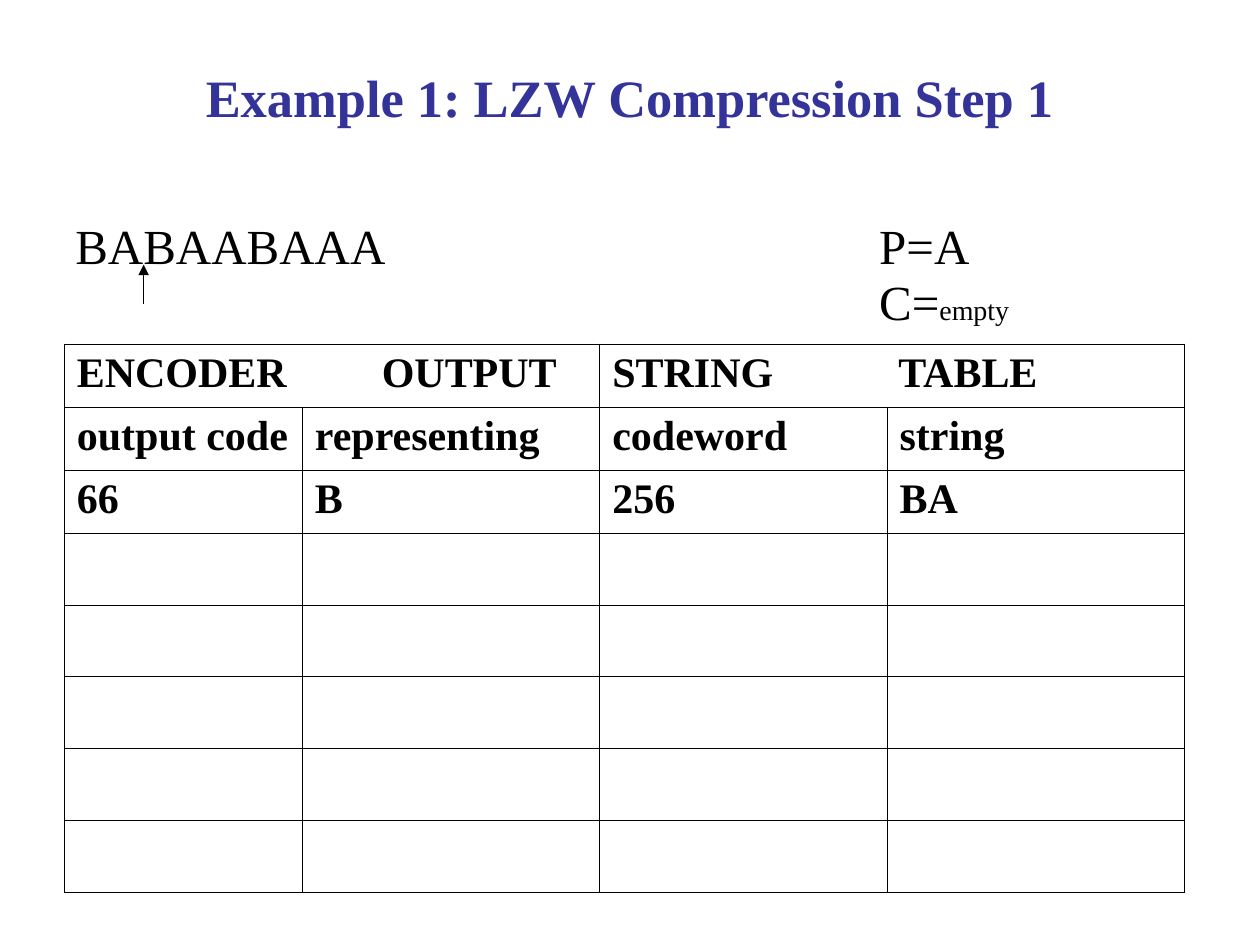
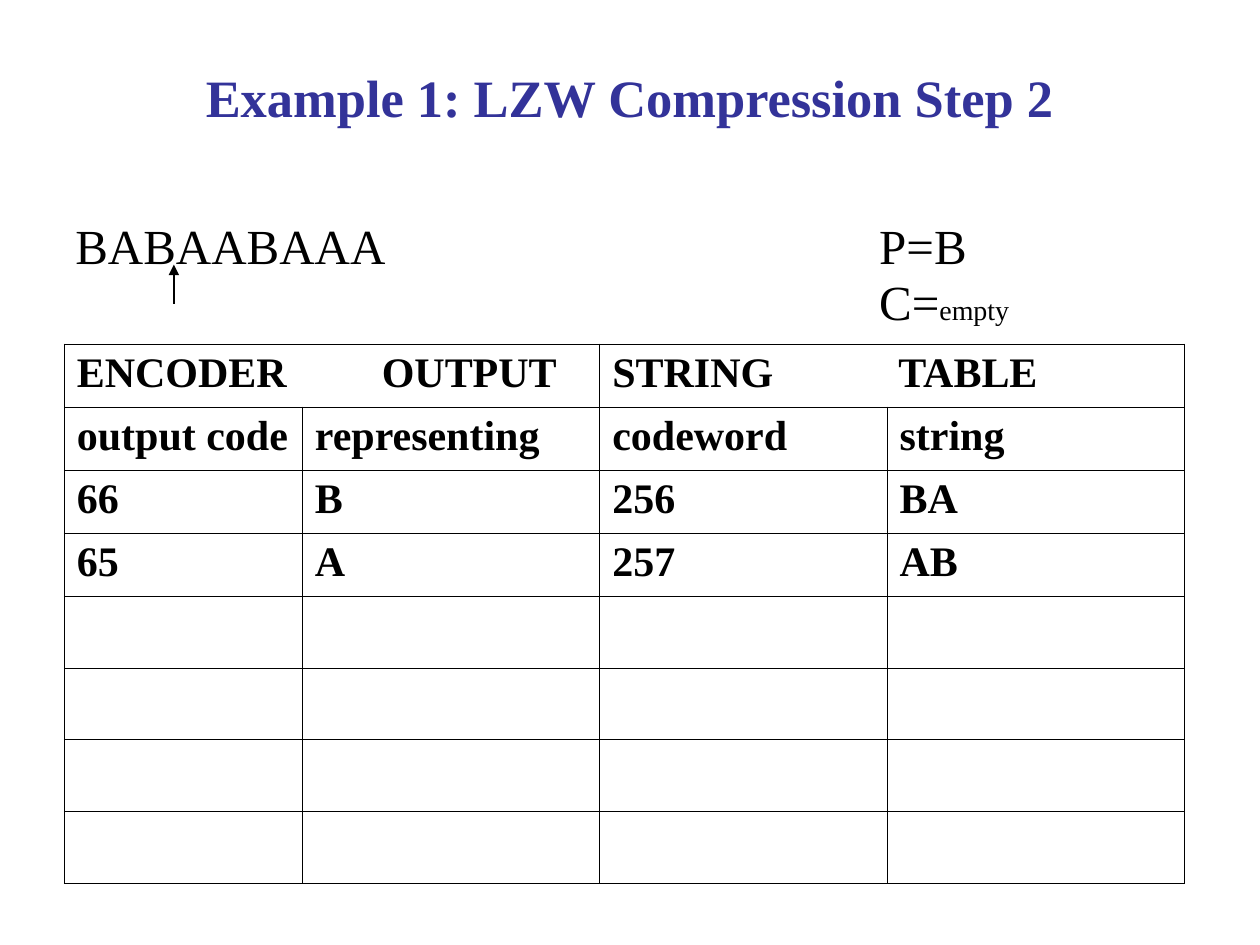
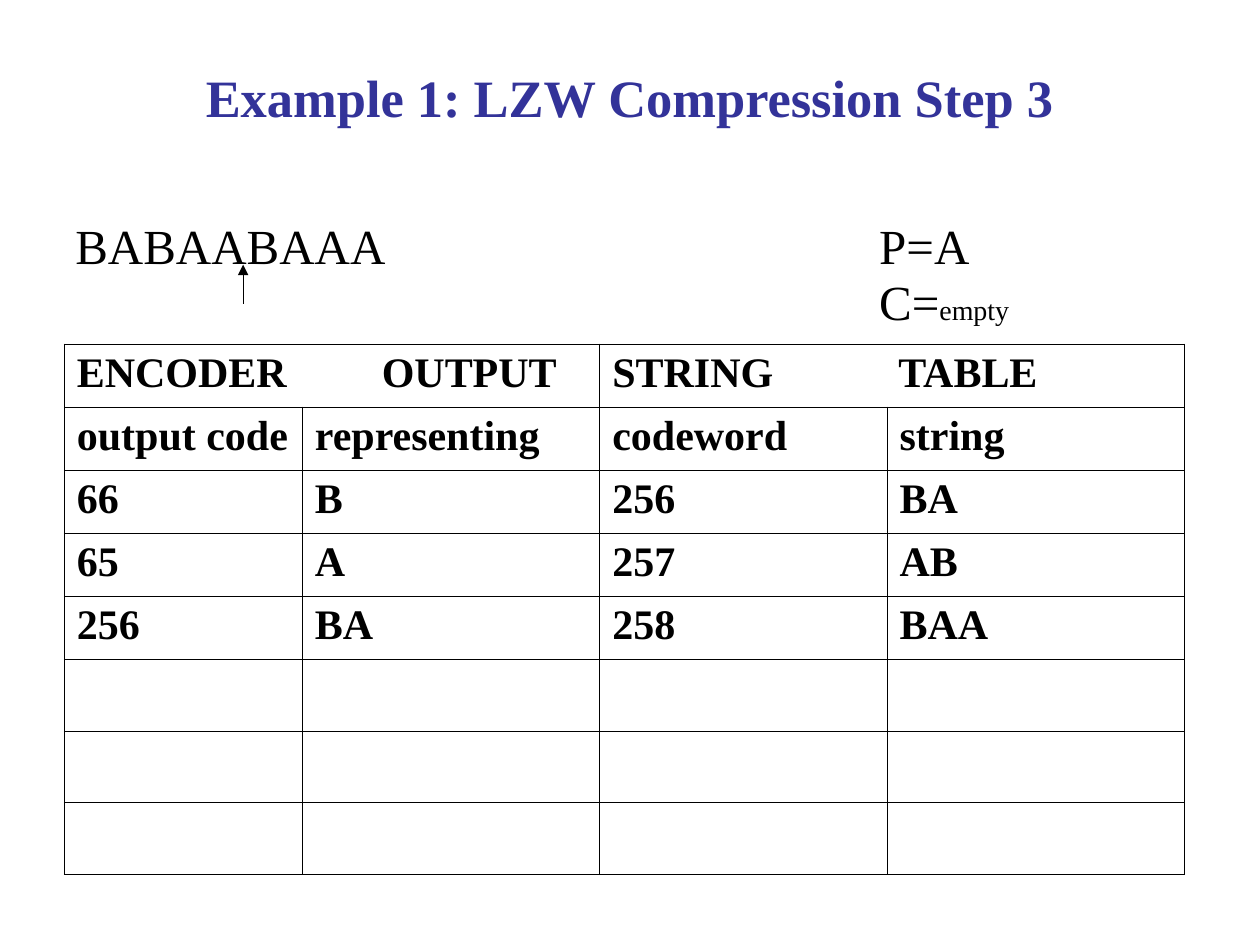
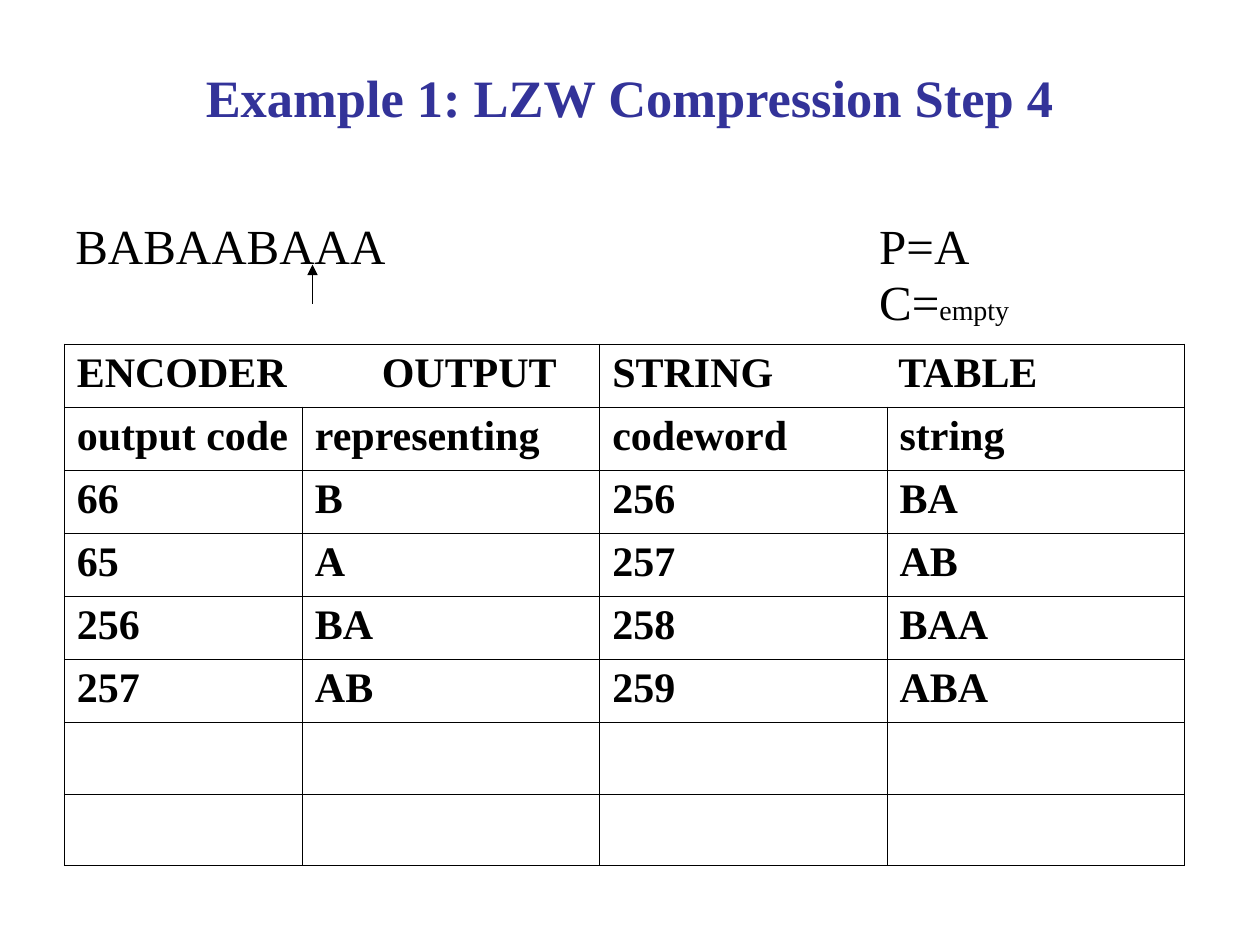
import dataclasses
import typing

import lxml.etree
import pptx
import pptx.dml.color
import pptx.enum.shapes
import pptx.enum.text
import pptx.oxml.ns
import pptx.slide
import pptx.util

Inches = pptx.util.Inches
Pt = pptx.util.Pt
qn = pptx.oxml.ns.qn

FONT = "Times New Roman"
BLACK = "000000"
NAVY = "333399"
TITLE_FORMAT = {"size": Pt(30), "bold": True}
STATE_FORMAT = {"size": Pt(28), "bold": False}
EMPTY_FORMAT = {"size": Pt(16), "bold": False}
CELL_FORMAT = {"size": Pt(24), "bold": True}

MESSAGE = "BABAABAAA"
STATE_TAB = 6.38
COLUMN_WIDTHS = (1.89, 2.36, 2.28, 2.36)
ROW_COUNT = 8
FILLED_HEIGHT = 0.5
EMPTY_HEIGHT = 0.57
BORDER_WIDTH = Pt(0.45)


@dataclasses.dataclass(frozen=True)
class Heading:
    column: int
    text: str
    tab: float


@dataclasses.dataclass(frozen=True)
class Step:
    number: int
    previous: str
    pointer_x: float


HEADINGS = (
    Heading(0, "ENCODER\tOUTPUT", 2.42),
    Heading(2, "STRING\tTABLE", 2.27),
)
COLUMN_NAMES = ("output code", "representing", "codeword", "string")
CODES = (
    ("66", "B", "256", "BA"),
    ("65", "A", "257", "AB"),
    ("256", "BA", "258", "BAA"),
    ("257", "AB", "259", "ABA"),
)
STEPS = (
    Step(1, "A", 1.14),
    Step(2, "B", 1.38),
    Step(3, "A", 1.93),
    Step(4, "A", 2.48),
)


def rgb(color: str) -> pptx.dml.color.RGBColor:
    return pptx.dml.color.RGBColor.from_string(color)


def add_run(paragraph: typing.Any, text: str, formats: dict, color: str = BLACK) -> None:
    run = paragraph.add_run()
    run.text = text
    for attribute, value in formats.items():
        setattr(run.font, attribute, value)
    run.font.name = FONT
    run.font.color.rgb = rgb(color)


def set_tab(paragraph: typing.Any, position: float) -> None:
    properties = paragraph._p.get_or_add_pPr()
    tabs = lxml.etree.SubElement(properties, qn("a:tabLst"))
    lxml.etree.SubElement(tabs, qn("a:tab"), pos=str(Inches(position)), algn="l")


def add_text_frame(slide: pptx.slide.Slide, top: float, height: float) -> typing.Any:
    frame = slide.shapes.add_textbox(
        Inches(0.5), Inches(top), Inches(9), Inches(height)
    ).text_frame
    frame.word_wrap = True
    return frame


def add_title(slide: pptx.slide.Slide, step: Step) -> None:
    frame = add_text_frame(slide, 0.3, 0.93)
    frame.vertical_anchor = pptx.enum.text.MSO_ANCHOR.MIDDLE
    title = frame.paragraphs[0]
    title.alignment = pptx.enum.text.PP_ALIGN.CENTER
    add_run(title, f"Example 1: LZW Compression Step {step.number}", TITLE_FORMAT, NAVY)


def add_state(slide: pptx.slide.Slide, step: Step) -> None:
    frame = add_text_frame(slide, 1.75, 0.98)
    previous, current = frame.paragraphs[0], frame.add_paragraph()
    for line in (previous, current):
        line.line_spacing = 0.8
    current.space_before = Pt(5)
    for line in (previous, current):
        set_tab(line, STATE_TAB)
    add_run(previous, f"{MESSAGE}\tP={step.previous}", STATE_FORMAT)
    add_run(current, "\tC=", STATE_FORMAT)
    add_run(current, "empty", EMPTY_FORMAT)


def outline_cell(cell: typing.Any) -> None:
    properties = cell._tc.get_or_add_tcPr()
    for side in ("a:lnL", "a:lnR", "a:lnT", "a:lnB"):
        border = lxml.etree.SubElement(properties, qn(side), w=str(BORDER_WIDTH))
        fill = lxml.etree.SubElement(border, qn("a:solidFill"))
        lxml.etree.SubElement(fill, qn("a:srgbClr"), val=BLACK)
    cell.fill.background()


def add_code_table(slide: pptx.slide.Slide, step: Step) -> None:
    filled_rows = (COLUMN_NAMES, *CODES[: step.number])
    filled_count = len(filled_rows) + 1
    heights = [FILLED_HEIGHT] * filled_count + [EMPTY_HEIGHT] * (ROW_COUNT - filled_count)
    table = slide.shapes.add_table(
        ROW_COUNT, len(COLUMN_WIDTHS), Inches(0.51), Inches(2.73),
        Inches(sum(COLUMN_WIDTHS)), Inches(sum(heights)),
    ).table
    table.first_row = table.horz_banding = False
    for column, width in zip(table.columns, COLUMN_WIDTHS):
        column.width = Inches(width)
    for row, height in zip(table.rows, heights):
        row.height = Inches(height)
    for cell in table.iter_cells():
        outline_cell(cell)
    for heading in HEADINGS:
        cell = table.cell(0, heading.column)
        cell.merge(table.cell(0, heading.column + 1))
        paragraph = cell.text_frame.paragraphs[0]
        set_tab(paragraph, heading.tab)
        add_run(paragraph, heading.text, CELL_FORMAT)
    for row_index, texts in enumerate(filled_rows, start=1):
        for column_index, text in enumerate(texts):
            cell = table.cell(row_index, column_index)
            add_run(cell.text_frame.paragraphs[0], text, CELL_FORMAT)


def add_pointer(slide: pptx.slide.Slide, step: Step) -> None:
    x = Inches(step.pointer_x)
    pointer = slide.shapes.add_connector(
        pptx.enum.shapes.MSO_CONNECTOR.STRAIGHT, x, Inches(2.41), x, Inches(2.1)
    )
    pointer.line.color.rgb = rgb(BLACK)
    pointer.line.width = Pt(0.75)
    lxml.etree.SubElement(pointer.line._get_or_add_ln(), qn("a:tailEnd"), type="triangle")
    lxml.etree.SubElement(pointer._element.spPr, qn("a:effectLst"))


def main() -> None:
    deck = pptx.Presentation()
    deck.slide_width, deck.slide_height = Inches(10), Inches(7.5)
    for step in STEPS:
        slide = deck.slides.add_slide(deck.slide_layouts[6])
        for draw in (add_title, add_state, add_code_table, add_pointer):
            draw(slide, step)
    deck.save("out.pptx")


if __name__ == "__main__":
    main()
